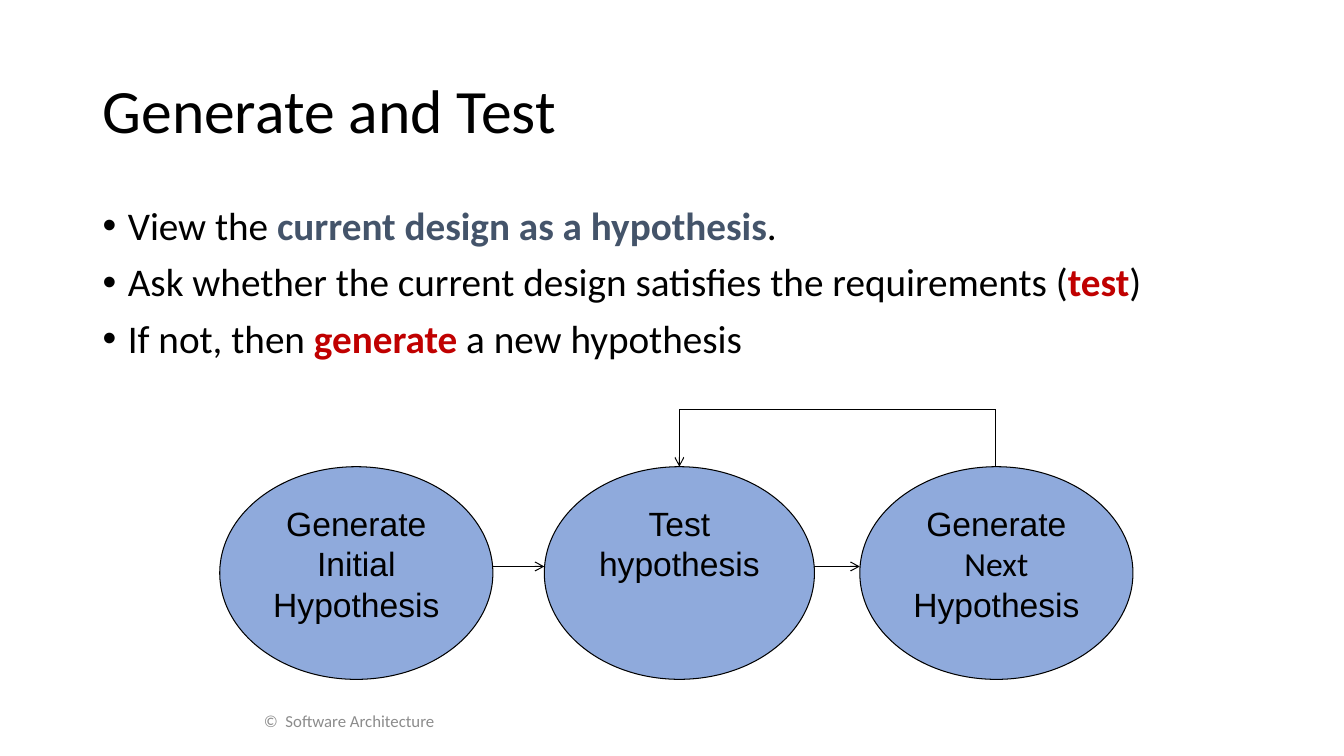
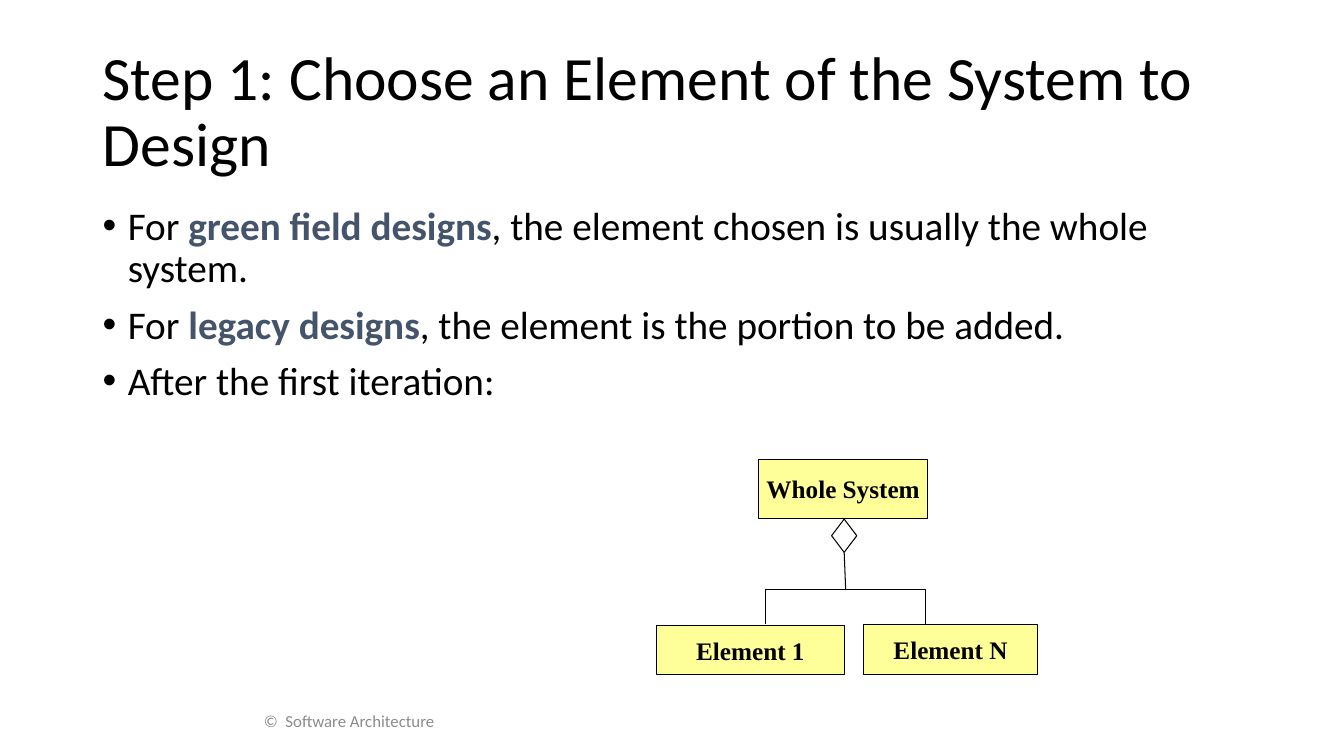
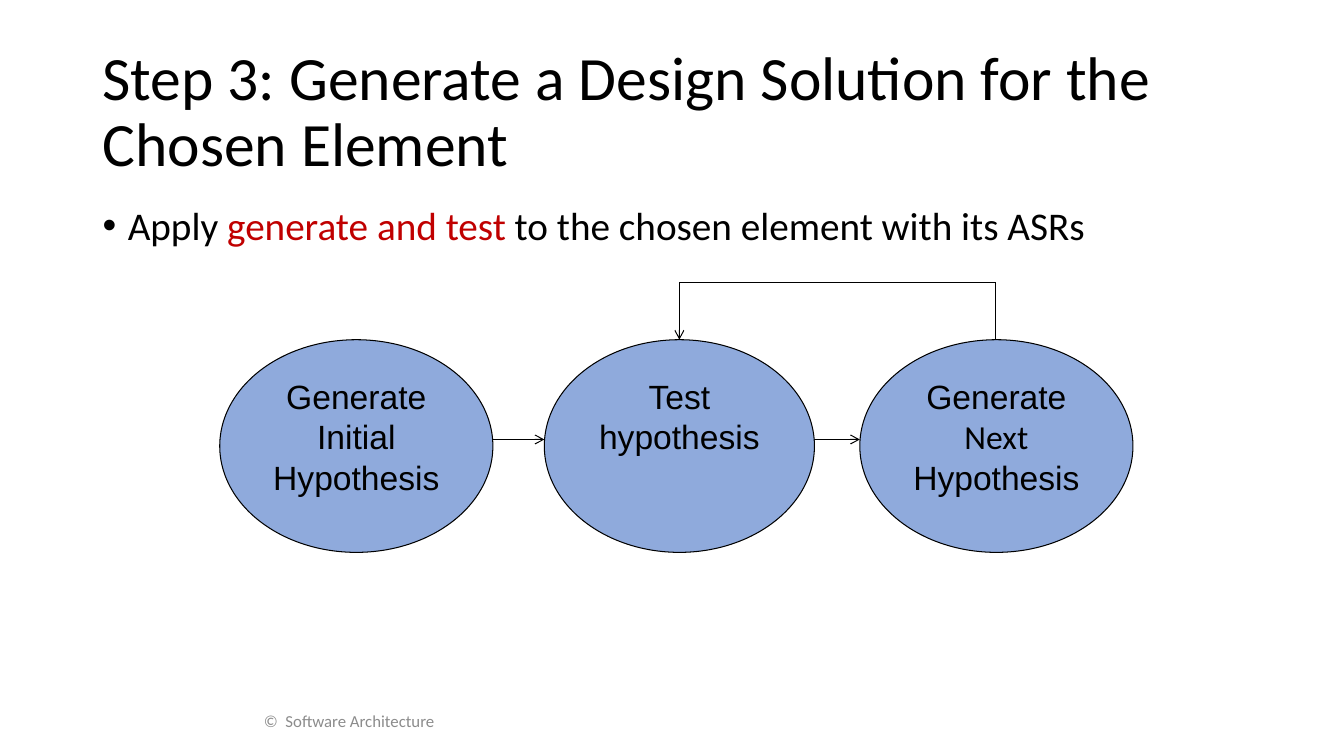
from lxml.etree import SubElement as Sub
from pptx import Presentation
from pptx.dml.color import RGBColor
from pptx.enum.shapes import MSO_CONNECTOR as Conn, MSO_SHAPE as Geo
from pptx.enum.text import MSO_ANCHOR as Anchor, PP_ALIGN as Align
from pptx.oxml.ns import qn
from pptx.util import Emu, Pt

SCALE = 9144
SANS, ARIAL, SERIF = "Calibri", "Arial", "Times New Roman"
BLACK, SLATE, RED, GREY = "000000", "44546A", "C00000", "8C8C8C"
BLUE, YELLOW = "8FAADC", "FFFF99"
INDENT = 25


def px(n):
    return Emu(round(n * SCALE))


def tint(code):
    return RGBColor.from_string(code)


def add_run(para, text, size, face=SANS, color=BLACK, bold=False):
    run = para.add_run()
    run.text = text
    font = run.font
    font.size, font.name, font.bold = Pt(size), face, bold
    font.color.rgb = tint(color)


def add_text(slide, box, anchor=Anchor.TOP):
    frame = slide.shapes.add_textbox(*map(px, box)).text_frame
    frame.word_wrap = True
    frame.vertical_anchor = anchor
    return frame


def outline(item):
    item.line.color.rgb = tint(BLACK)
    item.line.width = Pt(0.75)


def style(shape, fill=None):
    shape.shadow.inherit = False
    if fill:
        shape.fill.solid()
        shape.fill.fore_color.rgb = tint(fill)
    else:
        shape.fill.background()
    outline(shape)


def add_line(slide, x1, y1, x2, y2, arrow=False):
    line = slide.shapes.add_connector(Conn.STRAIGHT, *map(px, (x1, y1, x2, y2)))
    outline(line)
    props = line.element.spPr
    if arrow:
        Sub(props.find(qn("a:ln")), qn("a:tailEnd"), type="arrow")
    Sub(props, qn("a:effectLst"))
    return line


def add_node(slide, geo, box, fill, runs, size, anchor, wrap):
    node = slide.shapes.add_shape(geo, *map(px, box))
    style(node, fill)
    frame = node.text_frame
    frame.word_wrap = wrap
    frame.vertical_anchor = anchor
    para = frame.paragraphs[0]
    para.alignment = Align.CENTER
    for text, face in runs:
        add_run(para, text, size, face, bold=face == SERIF)
    return node


def add_title(slide, box, text):
    para = add_text(slide, box, Anchor.MIDDLE).paragraphs[0]
    para.line_spacing = 0.9
    add_run(para, text, 44)


def add_list(slide, box, items):
    frame = add_text(slide, box)
    for i, runs in enumerate(items):
        para = frame.add_paragraph() if i else frame.paragraphs[0]
        props = para._p.get_or_add_pPr()
        props.set("marL", str(px(INDENT)))
        props.set("indent", str(-px(INDENT)))
        Sub(props, qn("a:buFont"), typeface=ARIAL)
        Sub(props, qn("a:buChar"), char="•")
        para.line_spacing = 0.9
        para.space_before = Pt(10 if i else 0)
        for text, color, bold in runs:
            add_run(para, text, 28, color=color, bold=bold)


def add_foot(slide, box):
    para = add_text(slide, box, Anchor.MIDDLE).paragraphs[0]
    para.alignment = Align.CENTER
    add_run(para, "©  Software Architecture", 12, color=GREY)


def add_flow(slide, left, top):
    rise, high = 57, 211
    mid, last = left + 322, left + 635
    peak, turn = mid + 134, last + 135
    base, axis = top + rise, top + 156

    def oval(x, wide, *runs):
        add_node(slide, Geo.OVAL, (x, base, wide, high), BLUE, runs, 24,
                 Anchor.TOP, True)

    oval(left, 271, ("Generate Initial Hypothesis", ARIAL))
    oval(last, 271, ("Generate ", ARIAL), ("Next ", SANS), ("Hypothesis", ARIAL))
    add_line(slide, left + 270, axis, mid, axis, True)
    add_line(slide, mid + 250, axis, last, axis, True)
    add_line(slide, turn, base, turn, top)
    add_line(slide, turn, top, peak, top)
    add_line(slide, peak, top, peak, base, True)
    oval(mid, 268, ("Test hypothesis", ARIAL))


def add_tree(slide, left, top):
    parts = (
        ("Element 1", 0, 165, 187, 48),
        ("Whole System", 102, 0, 167, 58),
        ("Element N", 206, 164, 172, 49),
    )
    for text, x, y, wide, high in parts:
        add_node(slide, Geo.RECTANGLE, (left + x, top + y, wide, high), YELLOW,
                 [(text, SERIF)], 18, Anchor.MIDDLE, False)
    west, east, bar, foot = left + 108, left + 267, top + 129, top + 163
    path = slide.shapes.build_freeform(west, foot, SCALE)
    path.add_line_segments([(west, bar), (east, bar), (east, foot)], close=False)
    style(path.convert_to_shape())
    stem = add_line(slide, left + 187, top + 92, left + 188, bar)
    gem = slide.shapes.add_shape(Geo.DIAMOND, *map(px, (left + 174, top + 59, 25, 33)))
    style(gem)
    stem.begin_connect(gem, 2)


def add_page(deck, title, items):
    slide = deck.slides.add_slide(deck.slide_layouts[6])
    add_title(slide, (92, 40, 1150, 145), title)
    add_list(slide, (92, 200, 1150, 476), items)
    add_foot(slide, (0, 695, 693, 40))
    return slide


def plain(text):
    return text, BLACK, False


def main():
    deck = Presentation()
    deck.slide_width, deck.slide_height = px(1333.33), px(750)

    page = add_page(deck, "Generate and Test", [
        [plain("View the "), ("current design as a hypothesis", SLATE, True),
         plain(".")],
        [plain("Ask whether the current design satisfies the requirements ("),
         ("test", RED, True), plain(")")],
        [plain("If not, then "), ("generate", RED, True),
         plain(" a new hypothesis")],
    ])
    add_flow(page, 218, 406)

    page = add_page(deck, "Step 1: Choose an Element of the System to Design", [
        [plain("For "), ("green field designs", SLATE, True),
         plain(", the element chosen is usually the whole system.")],
        [plain("For "), ("legacy designs", SLATE, True),
         plain(", the element is the portion to be added.")],
        [plain("After the first iteration:")],
    ])
    add_tree(page, 651, 456)

    page = add_page(deck, "Step 3: Generate a Design Solution for the Chosen Element", [
        [plain("Apply "), ("generate and test", RED, False),
         plain(" to the chosen element with its ASRs")],
    ])
    add_flow(page, 218, 280)

    deck.save("out.pptx")


if __name__ == "__main__":
    main()
